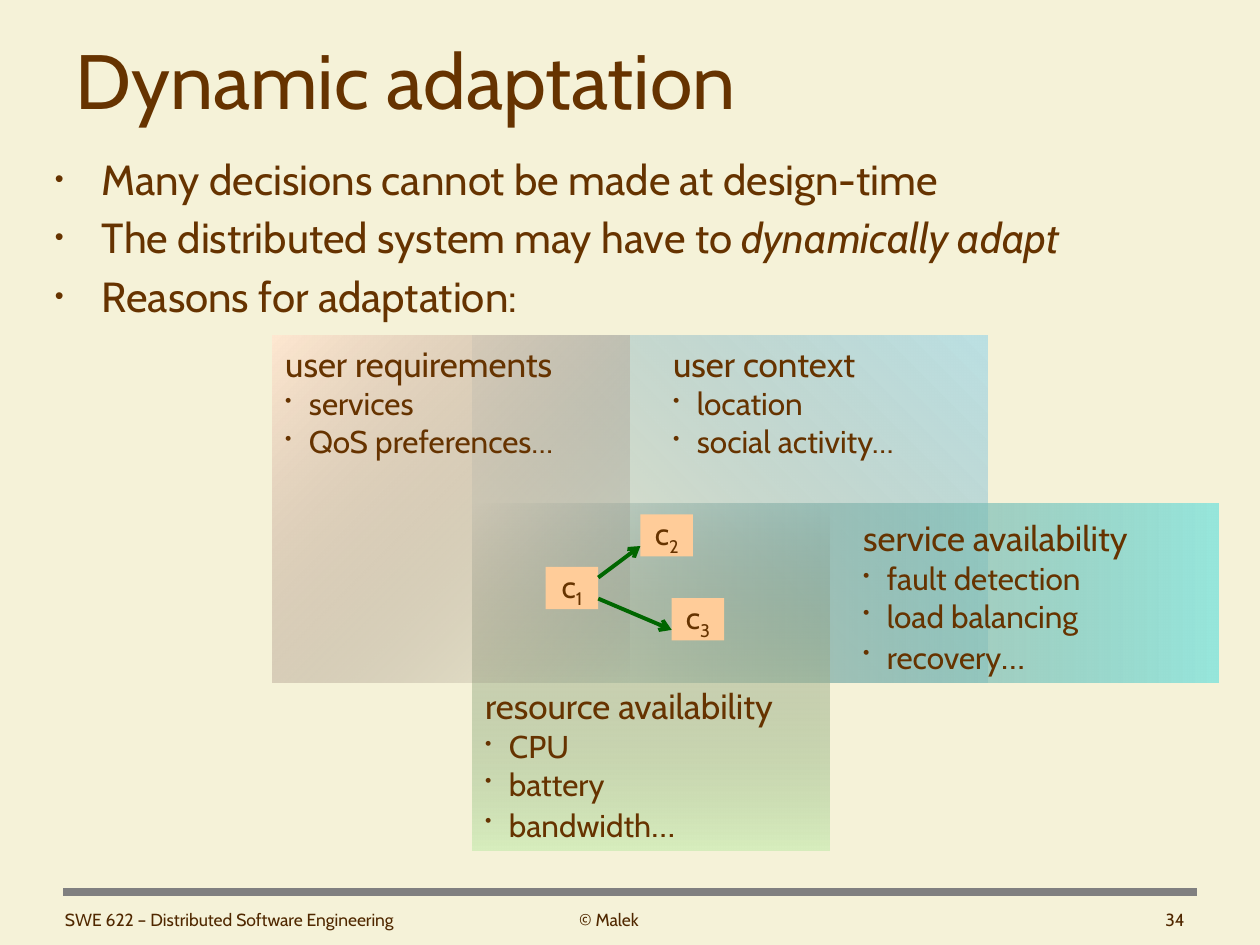
from dataclasses import dataclass

from lxml import etree
from pptx import Presentation
from pptx import util as u
from pptx.dml import color as colors
from pptx.enum import shapes, text
from pptx.oxml import ns


@dataclass(frozen=True)
class Theme:
    font: str = "Cabin"
    page: str = "F5F2D8"
    ink: str = "663300"
    footer_ink: str = "502800"
    rule: str = "808080"
    arrow: str = "006600"
    component: str = "FFCC99"
    title_size: int = 44
    body_size: int = 24
    heading_size: int = 20
    item_size: int = 18
    footer_size: int = 10


@dataclass(frozen=True)
class Box:
    """A rectangle in centimetres."""
    left: float
    top: float
    width: float
    height: float

    def inner(self, left, top, width, height):
        return Box(self.left + left, self.top + top, width, height)

    def lengths(self):
        return [u.Cm(n) for n in (self.left, self.top, self.width, self.height)]


THEME = Theme()
ALIGN = text.PP_ALIGN
ANCHOR = text.MSO_ANCHOR
HANG = 0.48


def rgb(value):
    return colors.RGBColor.from_string(value)


def write(para, words, size=None, color=THEME.ink, italic=None, baseline=None):
    span = para.add_run()
    span.text = words
    span.font.name = THEME.font
    span.font.size = u.Pt(size or THEME.item_size)
    span.font.color.rgb = rgb(color)
    span.font.italic = italic
    if baseline is not None:
        span.font._element.set("baseline", str(baseline * 1000))


def next_para(frame):
    """Give the empty first paragraph, or else a new one."""
    last = frame.paragraphs[-1]
    return frame.add_paragraph() if last.runs else last


def indent(para, left, hang, bullet=True):
    properties = para._p.get_or_add_pPr()
    properties.set("marL", str(u.Cm(left)))
    properties.set("indent", str(-u.Cm(hang)))
    if bullet:
        etree.SubElement(properties, ns.qn("a:buSzPct"), val="60000")
        etree.SubElement(properties, ns.qn("a:buChar"), char="•")


def move(placeholder, box):
    (placeholder.left, placeholder.top,
     placeholder.width, placeholder.height) = box.lengths()
    placeholder.text_frame.auto_size = text.MSO_AUTO_SIZE.NONE


def add_rectangle(page, box):
    shape = page.shapes.add_shape(shapes.MSO_SHAPE.RECTANGLE, *box.lengths())
    shape.shadow.inherit = False
    shape.line.fill.background()
    return shape


def add_line(page, start, end, color, width, arrow=False):
    line = page.shapes.add_connector(
        shapes.MSO_CONNECTOR.STRAIGHT, *[u.Cm(n) for n in (*start, *end)])
    line.line.color.rgb = rgb(color)
    line.line.width = u.Pt(width)
    if arrow:
        etree.SubElement(line.line._get_or_add_ln(), ns.qn("a:tailEnd"), type="arrow")
    etree.SubElement(line._element.spPr, ns.qn("a:effectLst"))


def fill_fading(shape, stops, clear_stop, angle):
    """Fill with a two-colour gradient, one end of it fully transparent."""
    shape.fill.gradient()
    shape.fill.gradient_angle = 360 - angle
    for stop, color in zip(shape.fill.gradient_stops, stops):
        stop.color.rgb = rgb(color)
    values = list(shape._element.spPr.iter(ns.qn("a:srgbClr")))
    etree.SubElement(values[clear_stop], ns.qn("a:alpha"), val="0")


def add_title(page, box):
    title = page.shapes.title
    move(title, box)
    title.text_frame.vertical_anchor = ANCHOR.MIDDLE
    para = title.text_frame.paragraphs[0]
    para.alignment = ALIGN.LEFT
    write(para, "Dynamic adaptation", size=THEME.title_size)


def add_body(page, box):
    body = page.placeholders[1]
    move(body, box)
    points = [
        [("Many decisions cannot be made at design-time", False)],
        [("The distributed system may have to ", False), ("dynamically adapt", True)],
        [("Reasons for adaptation:", False)],
    ]
    for point in points:
        para = next_para(body.text_frame)
        indent(para, 0.95, 0.95)
        for words, italic in point:
            write(para, words, size=THEME.body_size, italic=italic)


def add_panel(page, box, heading, items, stops, clear_stop, angle,
              shift=0, anchor=ANCHOR.TOP, large_ending=""):
    panel = add_rectangle(page, box)
    fill_fading(panel, stops, clear_stop, angle)
    frame = panel.text_frame
    frame.word_wrap = True
    frame.vertical_anchor = anchor
    for row, words in enumerate([heading, *items]):
        para = next_para(frame)
        para.alignment = ALIGN.LEFT
        indent(para, shift + HANG, HANG, bullet=row > 0)
        write(para, words, size=THEME.item_size if row else THEME.heading_size)
    if large_ending:
        write(para, large_ending, size=THEME.heading_size)


def add_component(page, box, number):
    component = add_rectangle(page, box)
    component.fill.solid()
    component.fill.fore_color.rgb = rgb(THEME.component)
    frame = component.text_frame
    frame.margin_left = frame.margin_right = frame.margin_top = frame.margin_bottom = 0
    frame.word_wrap = False
    frame.vertical_anchor = ANCHOR.MIDDLE
    para = frame.paragraphs[0]
    para.alignment = ALIGN.CENTER
    write(para, "c")
    write(para, str(number), baseline=-25)


def add_diagram(page, box):
    # Overlapping reasons, from back to front
    add_panel(page, box.inner(4.03, 0, 10.37, 6.99), "user context",
              ["location", "social activity…"],
              ("86A0A2", "BBE0E3"), 0, 315, shift=3.79)
    add_panel(page, box.inner(4.03, 3.39, 15.03, 3.6), "service availability",
              ["fault detection", "load balancing", "recovery"],
              ("456A66", "96E6DC"), 0, 0, shift=7.62,
              anchor=ANCHOR.BOTTOM, large_ending="…")
    add_panel(page, box.inner(4.03, 3.39, 7.2, 6.99), "resource availability",
              ["CPU", "battery", "bandwidth"],
              ("636E57", "D7EDBD"), 0, 90,
              anchor=ANCHOR.BOTTOM, large_ending="…")
    add_panel(page, box.inner(0, 0, 7.2, 6.99), "user requirements",
              ["services", "QoS preferences…"],
              ("FFE8D1", "766B61"), 1, 45)

    # Components, with arrows that leave and meet them a quarter from a corner
    width, height = 1.06, 0.85
    places = [(5.5, 4.66), (7.41, 3.6), (8.04, 5.29)]
    first, upper, lower = [box.inner(*place, width, height) for place in places]
    for number, part in enumerate((first, upper, lower), 1):
        add_component(page, part, number)
    for target, start, end in ((upper, 0.25, 0.75), (lower, 0.75, 0.75)):
        add_line(page, (first.left + width, first.top + start * height),
                 (target.left, target.top + end * height),
                 THEME.arrow, 2.25, arrow=True)


def add_footer(page, box):
    add_line(page, (box.left + 0.21, box.top), (box.left + box.width, box.top),
             THEME.rule, 4.5)
    left = 0
    for words, width, align in (
            ("SWE 622 – Distributed Software Engineering", 8.25, ALIGN.LEFT),
            ("© Malek", 5.93, ALIGN.CENTER),
            ("34", 8.89, ALIGN.RIGHT)):
        place = box.inner(left, 0.21, width, 0.85)
        frame = page.shapes.add_textbox(*place.lengths()).text_frame
        frame.word_wrap = True
        para = frame.paragraphs[0]
        para.alignment = align
        write(para, words, size=THEME.footer_size, color=THEME.footer_ink)
        left += width


def main():
    deck = Presentation()
    deck.slide_width, deck.slide_height = u.Cm(25.4), u.Cm(19.05)
    page = deck.slides.add_slide(deck.slide_layouts[1])
    page.background.fill.solid()
    page.background.fill.fore_color.rgb = rgb(THEME.page)
    add_title(page, Box(1.27, 0, 22.86, 3.18))
    add_body(page, Box(0.85, 2.96, 23.71, 3.39))
    add_diagram(page, Box(5.5, 6.77, 19.06, 10.38))
    add_footer(page, Box(1.06, 17.98, 23.07, 1.06))
    deck.save("out.pptx")


if __name__ == "__main__":
    main()
